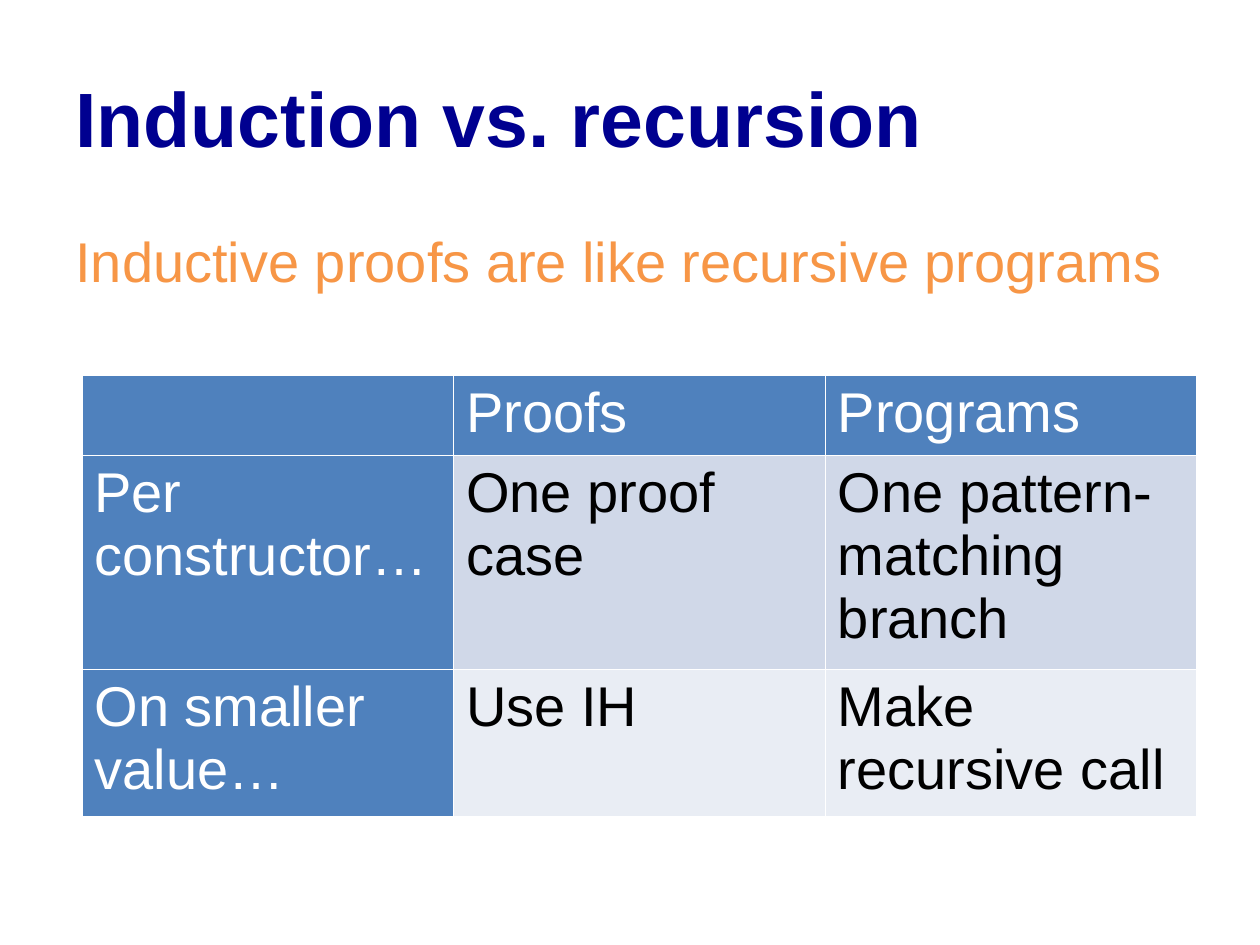
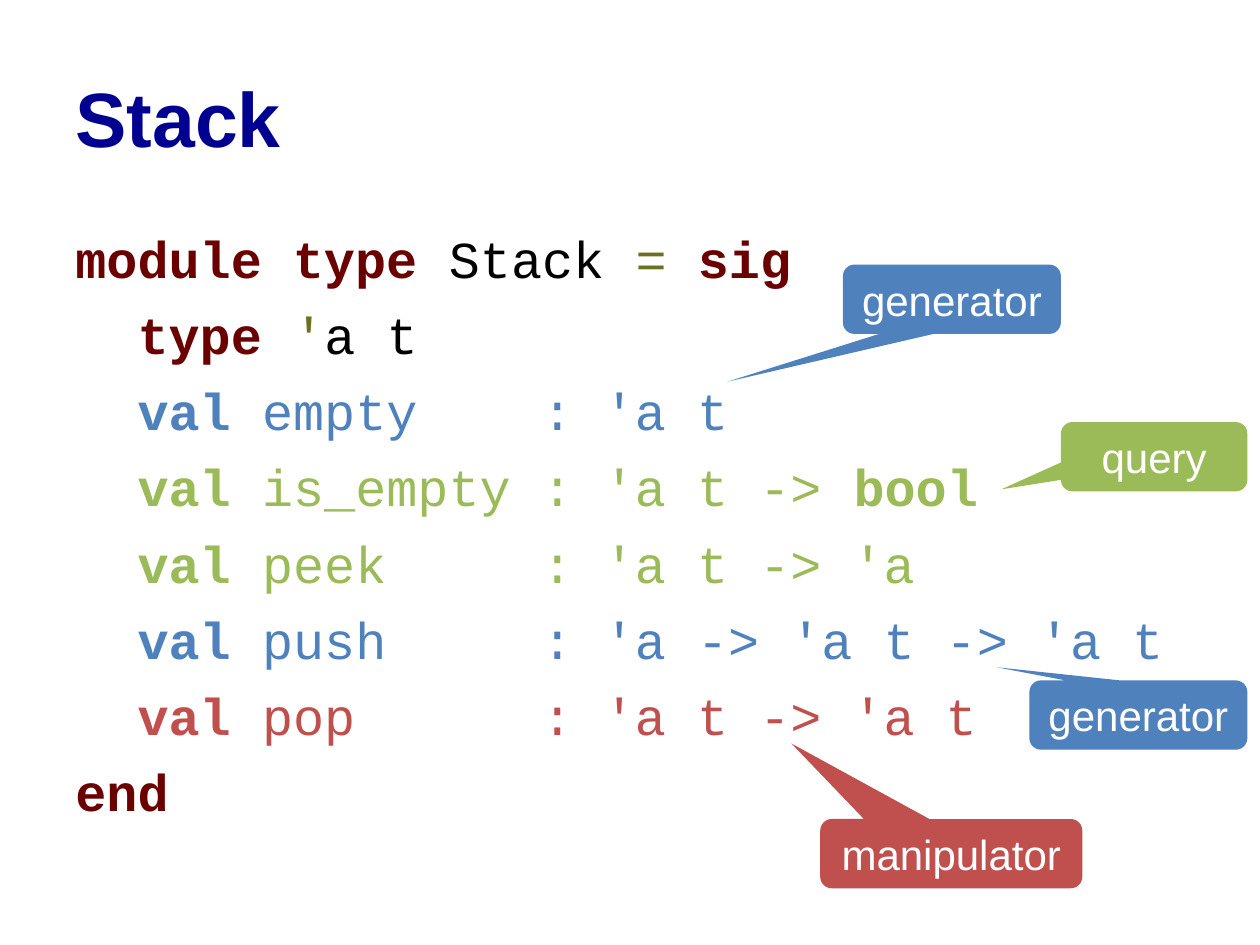
from lxml.etree import SubElement
from pptx import Presentation
from pptx.dml.color import RGBColor
from pptx.enum.shapes import MSO_SHAPE
from pptx.enum.text import MSO_ANCHOR, PP_ALIGN
from pptx.oxml.ns import qn
from pptx.util import Inches, Pt

NAVY = RGBColor(0x00, 0x00, 0x90)
ORANGE = RGBColor(0xF7, 0x96, 0x46)
BLUE = RGBColor(0x4F, 0x81, 0xBD)
GREEN = RGBColor(0x9B, 0xBB, 0x59)
RED = RGBColor(0xC0, 0x50, 0x4D)
MAROON = RGBColor(0x6B, 0x00, 0x01)
OLIVE = RGBColor(0x6D, 0x6F, 0x24)
BLACK = RGBColor(0x00, 0x00, 0x00)
WHITE = RGBColor(0xFF, 0xFF, 0xFF)
BANDS = [RGBColor(0xD0, 0xD8, 0xE8), RGBColor(0xE9, 0xED, 0xF4)]

SANS, MONO = "Arial", "Courier New"
TITLE_BOX = (0.5, 0.3, 9, 1.25)
BODY_BOX = (0.5, 1.75, 9.31, 4.95)


def style(run, size, color, bold=False, font=SANS):
    run.font.name = font
    run.font.size = Pt(size)
    run.font.bold = bold
    run.font.color.rgb = color


def add_text_frame(slide, box):
    frame = slide.shapes.add_textbox(*map(Inches, box)).text_frame
    frame.word_wrap = True
    return frame


def add_titled_slide(prs, title):
    slide = prs.slides.add_slide(prs.slide_layouts[6])
    heading = add_text_frame(slide, TITLE_BOX)
    heading.vertical_anchor = MSO_ANCHOR.MIDDLE
    heading.text = title
    style(heading.paragraphs[0].runs[0], 44, NAVY, bold=True)
    return slide


def add_statement(slide, box, text):
    frame = add_text_frame(slide, box)
    frame.text = text
    statement = frame.paragraphs[0]
    statement.space_before = Pt(3)
    style(statement.runs[0], 32, ORANGE)


def add_cell_borders(cell):
    properties = cell._tc.get_or_add_tcPr()
    for side in ("lnL", "lnR", "lnT", "lnB"):
        border = SubElement(properties, qn(f"a:{side}"), w=str(Pt(1)))
        fill = SubElement(border, qn("a:solidFill"))
        SubElement(fill, qn("a:srgbClr"), val=str(WHITE))


def add_comparison(slide, box, rows, row_heights):
    table = slide.shapes.add_table(len(rows), len(rows[0]), *map(Inches, box)).table
    table.first_row = table.horz_banding = False
    for r, (row, height) in enumerate(zip(rows, row_heights)):
        table.rows[r].height = Inches(height)
        for c, text in enumerate(row):
            is_header = r == 0 or c == 0
            cell = table.cell(r, c)
            add_cell_borders(cell)  # borders precede the fill in the cell's XML
            cell.fill.solid()
            cell.fill.fore_color.rgb = BLUE if is_header else BANDS[r - 1]
            cell.text = text
            for run in cell.text_frame.paragraphs[0].runs:
                style(run, 32, WHITE if is_header else BLACK)


def signature(color, name, kind, bold_end=""):
    """One aligned "val" line as (text, colour, bold) pieces."""
    pieces = [("  val", color, True), (f" {name:<8} : {kind}", color, False)]
    return pieces + [(bold_end, color, True)] if bold_end else pieces


def add_code(slide, box, lines):
    frame = add_text_frame(slide, box)
    for i, pieces in enumerate(lines):
        line = frame.add_paragraph() if i else frame.paragraphs[0]
        line.space_before = Pt(8 if i else 7)
        for text, color, bold in pieces:
            run = line.add_run()
            run.text = text
            style(run, 29.6, color, bold, MONO)


def add_callout(slide, left, top, width, color, label, tip):
    """The tip is given in box widths and heights from the box centre."""
    callout = slide.shapes.add_shape(
        MSO_SHAPE.ROUNDED_RECTANGULAR_CALLOUT,
        *map(Inches, (left, top, width, 0.55)))
    callout.adjustments[0], callout.adjustments[1] = tip
    callout.shadow.inherit = False
    callout.fill.solid()
    callout.fill.fore_color.rgb = color
    callout.line.fill.background()
    frame = callout.text_frame
    frame.word_wrap = True
    frame.vertical_anchor = MSO_ANCHOR.MIDDLE
    frame.text = label
    frame.paragraphs[0].alignment = PP_ALIGN.CENTER
    style(frame.paragraphs[0].runs[0], 24, WHITE)


def build_induction_slide(prs):
    slide = add_titled_slide(prs, "Induction vs. recursion")
    add_statement(slide, BODY_BOX, "Inductive proofs are like recursive programs")
    add_comparison(slide, (0.65, 2.98, 8.85, 3.28), [
        ("", "Proofs", "Programs"),
        ("Per constructor…", "One proof case", "One pattern-matching branch"),
        ("On smaller value…", "Use IH", "Make recursive call"),
    ], (0.59, 1.6, 1.09))


def build_stack_slide(prs):
    slide = add_titled_slide(prs, "Stack")
    add_code(slide, BODY_BOX, [
        [("module type", MAROON, True), (" Stack ", BLACK, False),
         ("= ", OLIVE, False), ("sig", MAROON, True)],
        [("  type ", MAROON, True), ("'", OLIVE, False), ("a t", BLACK, False)],
        signature(BLUE, "empty", "'a t"),
        signature(GREEN, "is_empty", "'a t -> ", "bool"),
        signature(GREEN, "peek", "'a t -> 'a"),
        signature(BLUE, "push", "'a -> 'a t -> 'a t"),
        signature(RED, "pop", "'a t -> 'a t"),
        [("end", MAROON, True)],
    ])
    # Callouts naming the role of each operation
    for callout in [
        (6.69, 2.1, 1.73, BLUE, "generator", (-1.03, 1.19)),
        (6.51, 6.5, 2.08, RED, "manipulator", (-0.61, -1.59)),
        (8.42, 3.35, 1.48, GREEN, "query", (-0.82, 0.47)),
        (8.17, 5.4, 1.73, BLUE, "generator", (-0.65, -0.69)),
    ]:
        add_callout(slide, *callout)


def main():
    prs = Presentation()
    prs.slide_width, prs.slide_height = Inches(10), Inches(7.5)
    build_induction_slide(prs)
    build_stack_slide(prs)
    prs.save("out.pptx")


if __name__ == "__main__":
    main()
